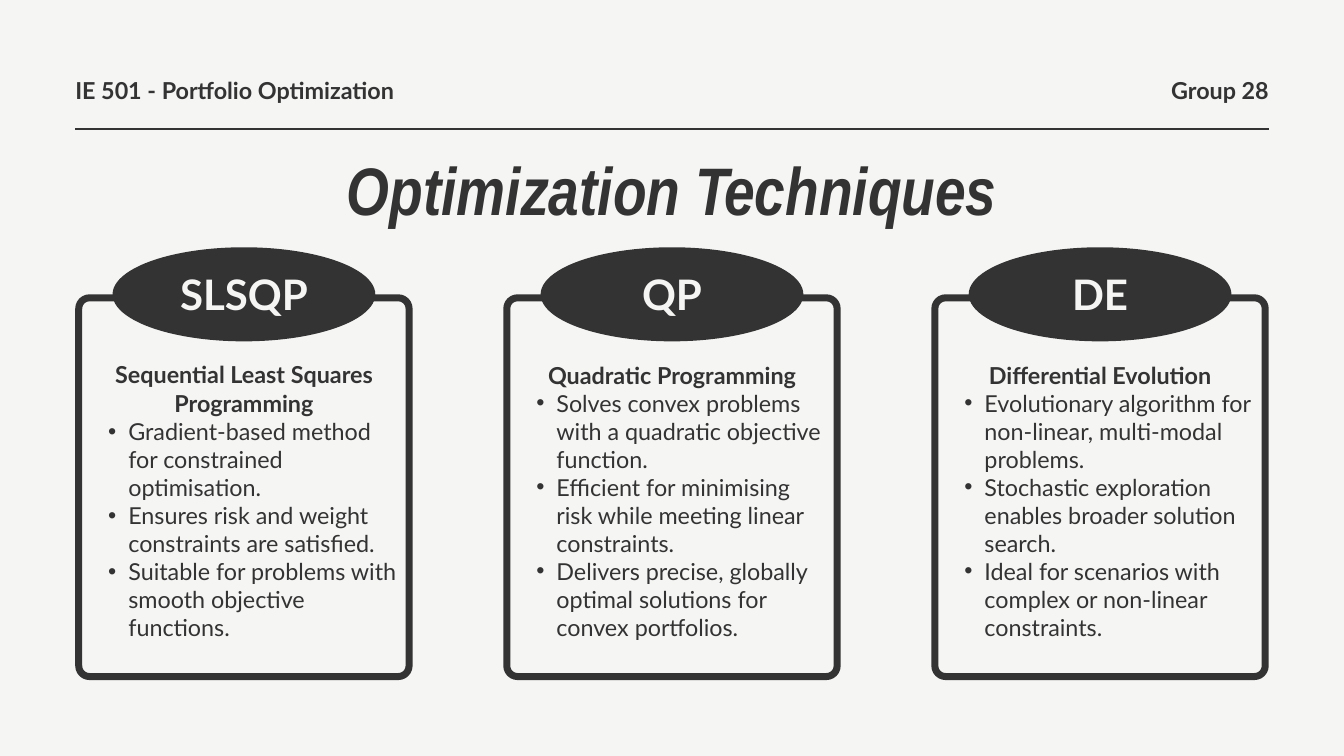
from dataclasses import dataclass

from lxml.etree import SubElement
from pptx import Presentation
from pptx.dml.color import RGBColor
from pptx.enum.shapes import MSO_CONNECTOR, MSO_SHAPE
from pptx.enum.text import MSO_ANCHOR, MSO_AUTO_SIZE, PP_ALIGN
from pptx.oxml.ns import qn
from pptx.util import Inches, Pt


@dataclass(frozen=True)
class Theme:
    dark: RGBColor = RGBColor.from_string("333333")
    light: RGBColor = RGBColor.from_string("F5F5F4")
    body_font: str = "Lato"
    title_font: str = "Arial Narrow"
    title: int = 72
    label: int = 45
    text: int = 25
    frame: float = 7.5
    rule: float = 2.25


T = Theme()
TITLE = "Optimization Techniques"
COURSE = "IE 501 - Portfolio Optimization"
GROUP = "Group 28"
CARDS = [
    dict(label="SLSQP", name="Sequential Least Squares Programming", top=5.33, lead=31.7, points=[
        "Gradient-based method for constrained optimisation.",
        "Ensures risk and weight constraints are satisfied.",
        "Suitable for problems with smooth objective functions."]),
    dict(label="QP", name="Quadratic Programming", top=5.3, lead=35, points=[
        "Solves convex problems with a quadratic objective function.",
        "Efficient for minimising risk while meeting linear constraints.",
        "Delivers precise, globally optimal solutions for convex portfolios."]),
    dict(label="DE", name="Differential Evolution", top=5.3, lead=35, points=[
        "Evolutionary algorithm for non-linear, multi-modal problems.",
        "Stochastic exploration enables broader solution search.",
        "Ideal for scenarios with complex or non-linear constraints."]),
]

W, H = 20, 11.25
MARGIN = 1.12
CARD_W, CARD_TOP, CARD_H = 5.02, 4.38, 5.74
STEP = (W - 2 * MARGIN - CARD_W) / (len(CARDS) - 1)
OVAL_W, OVAL_H = 3.91, 1.4
LABEL_W, LABEL_H = 2.52, 0.76
BODY_W, BODY_H = 4.62, 4.3
HEAD_TOP, HEAD_W, HEAD_H = 1.06, 5.51, 0.47
TITLE_W, TITLE_TOP, TITLE_H = 16.37, 2.21, 1.2
RULE_Y = 1.92
CORNER = 0.16


def box(x, y, w, h):
    return [Inches(v) for v in (x, y, w, h)]


def clear_frame(sp):
    tf = sp.text_frame
    tf.word_wrap = True
    tf.auto_size = MSO_AUTO_SIZE.NONE
    tf.vertical_anchor = MSO_ANCHOR.TOP
    tf.margin_left = tf.margin_right = tf.margin_top = tf.margin_bottom = 0
    return tf


def style(p, size, lead, align=PP_ALIGN.LEFT, color=T.dark, font=T.body_font, bold=True, italic=False):
    p.alignment = align
    p.line_spacing = Pt(lead)
    p.space_before = p.space_after = Pt(0)
    for r in p.runs:
        r.font.size = Pt(size)
        r.font.name = font
        r.font.bold = bold
        r.font.italic = italic
        r.font.color.rgb = color


def add_text(s, text, at, size, lead, **look):
    tf = clear_frame(s.shapes.add_textbox(*box(*at)))
    tf.text = text
    style(tf.paragraphs[0], size, lead, **look)
    return tf


def add_bullet(tf, text):
    p = tf.add_paragraph()
    p.text = text
    p.level = 1
    style(p, T.text, 30, bold=False)
    pPr = p._p.get_or_add_pPr()
    pPr.set("marL", str(Inches(0.59)))
    pPr.set("indent", str(Inches(-0.3)))
    SubElement(pPr, qn("a:buFont"), typeface="Arial")
    SubElement(pPr, qn("a:buChar"), char="•")


def add_frame(s, x):
    edge = T.frame / 72
    w, h = CARD_W - edge, CARD_H - edge
    sp = s.shapes.add_shape(MSO_SHAPE.ROUNDED_RECTANGLE, *box(x + edge / 2, CARD_TOP + edge / 2, w, h))
    sp.adjustments[0] = CORNER / w
    sp.shadow.inherit = False
    sp.fill.background()
    sp.line.color.rgb = T.dark
    sp.line.width = Pt(T.frame)


def add_oval(s, center):
    sp = s.shapes.add_shape(MSO_SHAPE.OVAL, *box(center - OVAL_W / 2, CARD_TOP - OVAL_H / 2, OVAL_W, OVAL_H))
    sp.shadow.inherit = False
    sp.fill.solid()
    sp.fill.fore_color.rgb = T.dark
    sp.line.fill.background()


def add_card(s, i, card):
    x = MARGIN + i * STEP
    center = x + CARD_W / 2
    add_frame(s, x)
    add_oval(s, center)
    add_text(s, card["label"], (center - LABEL_W / 2, CARD_TOP - LABEL_H / 2, LABEL_W, LABEL_H),
             T.label, 54, align=PP_ALIGN.CENTER, color=T.light)
    tf = add_text(s, card["name"], (center - BODY_W / 2, card["top"], BODY_W, BODY_H),
                  T.text, card["lead"], align=PP_ALIGN.CENTER)
    for point in card["points"]:
        add_bullet(tf, point)


def add_header(s):
    add_text(s, COURSE, (MARGIN, HEAD_TOP, HEAD_W, HEAD_H), T.text, 35)
    add_text(s, GROUP, (W - MARGIN - HEAD_W, HEAD_TOP, HEAD_W, HEAD_H), T.text, 35, align=PP_ALIGN.RIGHT)
    rule = s.shapes.add_connector(MSO_CONNECTOR.STRAIGHT, *box(MARGIN, RULE_Y, W - MARGIN, RULE_Y))
    rule.line.color.rgb = T.dark
    rule.line.width = Pt(T.rule)
    SubElement(rule._element.spPr, qn("a:effectLst"))


def add_title(s):
    sp = s.shapes.title
    sp.left, sp.top, sp.width, sp.height = box((W - TITLE_W) / 2, TITLE_TOP, TITLE_W, TITLE_H)
    tf = clear_frame(sp)
    tf.text = TITLE
    style(tf.paragraphs[0], T.title, 86.4, align=PP_ALIGN.CENTER, font=T.title_font, italic=True)


def main():
    prs = Presentation()
    prs.slide_width, prs.slide_height = Inches(W), Inches(H)
    s = prs.slides.add_slide(prs.slide_layouts[5])
    s.background.fill.solid()
    s.background.fill.fore_color.rgb = T.light
    add_header(s)
    add_title(s)
    for i, card in enumerate(CARDS):
        add_card(s, i, card)
    prs.save("out.pptx")


if __name__ == "__main__":
    main()
